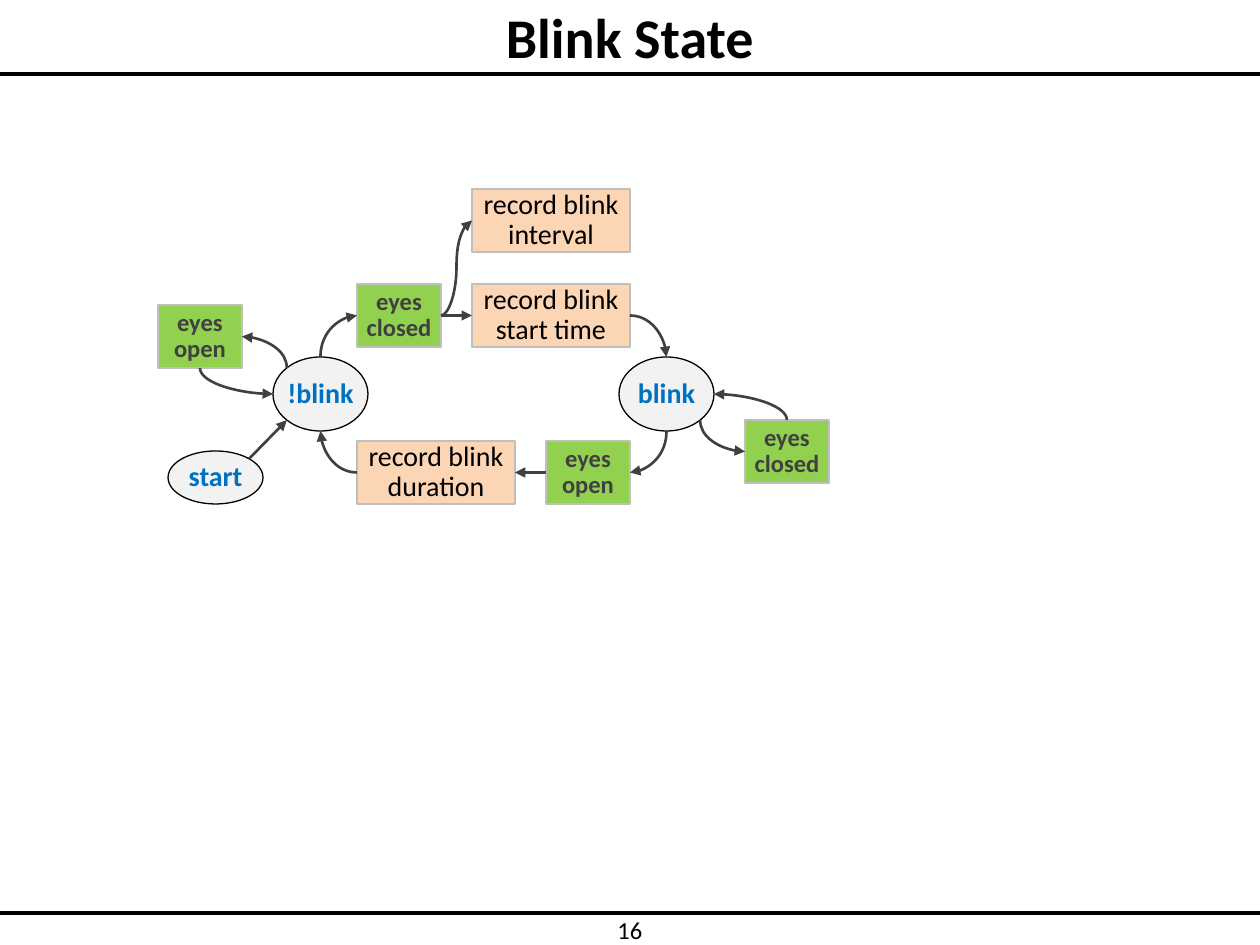
from dataclasses import dataclass

from lxml import etree
from pptx import Presentation
from pptx.dml.color import RGBColor
from pptx.enum.shapes import MSO_CONNECTOR, MSO_SHAPE
from pptx.enum.text import MSO_ANCHOR, PP_ALIGN
from pptx.oxml.ns import qn
from pptx.util import Pt

OVAL, RECTANGLE = MSO_SHAPE.OVAL, MSO_SHAPE.RECTANGLE
LINE, CURVE = MSO_CONNECTOR.STRAIGHT, MSO_CONNECTOR.CURVE
CENTER, MIDDLE, TOP = PP_ALIGN.CENTER, MSO_ANCHOR.MIDDLE, MSO_ANCHOR.TOP

EMU_PER_PX = 914400 / 126
SLIDE_WIDTH, SLIDE_HEIGHT = 1260, 945
FONT = "Calibri"
COLORS = {
    "black": "000000",
    "dark": "404040",
    "border": "BFBFBF",
    "state": "F2F2F2",
    "state_text": "0070C0",
    "event": "92D050",
    "action": "FCD5B5",
}
SIDES = {
    "top": (0.5, 0),
    "bottom": (0.5, 1),
    "left": (0, 0.5),
    "right": (1, 0.5),
    "top_left": (0.146, 0.146),
    "top_right": (0.854, 0.146),
    "bottom_left": (0.146, 0.854),
    "bottom_right": (0.854, 0.854),
}


@dataclass(frozen=True)
class Style:
    geometry: int
    fill: str
    border: str
    color: str
    size: int
    bold: bool


@dataclass(frozen=True)
class Node:
    text: str
    style: Style
    left: int
    top: int
    width: int
    height: int

    def point(self, side: str) -> tuple[float, float]:
        across, down = SIDES[side]
        return self.left + across * self.width, self.top + down * self.height


@dataclass(frozen=True)
class Arrow:
    source: str
    source_side: str
    target: str
    target_side: str
    route: str = "straight"


STATE = Style(OVAL, "state", "black", "state_text", 16, True)
EVENT = Style(RECTANGLE, "event", "border", "dark", 14, True)
ACTION = Style(RECTANGLE, "action", "border", "black", 16, False)


def event(text: str, left: int, top: int) -> Node:
    return Node(text, EVENT, left, top, 84, 63)


def action(text: str, left: int, top: int) -> Node:
    return Node(text, ACTION, left, top, 158, 63)


NODES = {
    "start": Node("start", STATE, 168, 451, 95, 53),
    "not_blink": Node("!blink", STATE, 273, 357, 95, 74),
    "blink": Node("blink", STATE, 619, 357, 95, 74),
    "stay_open": event("eyes\nopen", 158, 305),
    "close": event("eyes\nclosed", 357, 284),
    "stay_closed": event("eyes\nclosed", 745, 420),
    "open": event("eyes\nopen", 546, 441),
    "interval": action("record blink\ninterval", 472, 189),
    "start_time": action("record blink\nstart time", 472, 284),
    "duration": action("record blink\nduration", 357, 441),
}
ARROWS = [
    Arrow("start", "top_right", "not_blink", "bottom_left"),
    Arrow("not_blink", "top_left", "stay_open", "right", "vertical"),
    Arrow("stay_open", "bottom", "not_blink", "left", "vertical"),
    Arrow("not_blink", "top", "close", "left", "vertical"),
    Arrow("close", "right", "interval", "left", "s_curve"),
    Arrow("close", "right", "start_time", "left"),
    Arrow("start_time", "right", "blink", "top", "horizontal"),
    Arrow("blink", "bottom_right", "stay_closed", "left", "vertical"),
    Arrow("stay_closed", "top", "blink", "right", "vertical"),
    Arrow("blink", "bottom", "open", "right", "vertical"),
    Arrow("open", "left", "duration", "right"),
    Arrow("duration", "left", "not_blink", "bottom", "horizontal"),
]


def emu(*lengths: float) -> list[int]:
    return [round(length * EMU_PER_PX) for length in lengths]


def rgb(name: str) -> RGBColor:
    return RGBColor.from_string(COLORS[name])


def write_text(shape, text: str, *, size: int, color: str = "black", bold: bool = False,
               anchor=MIDDLE, wrap: bool = False, spacing: float = 1.0) -> None:
    frame = shape.text_frame
    frame.word_wrap = wrap
    frame.vertical_anchor = anchor
    frame.margin_left = frame.margin_right = frame.margin_top = frame.margin_bottom = 0
    frame.text = text
    for paragraph in frame.paragraphs:
        paragraph.alignment = CENTER
        paragraph.line_spacing = spacing
        font = paragraph.runs[0].font
        font.name, font.size, font.bold = FONT, Pt(size), bold
        font.color.rgb = rgb(color)


def draw_line(slide, begin: tuple, end: tuple, *, color: str, width: float, kind=LINE):
    connector = slide.shapes.add_connector(kind, *emu(*begin, *end))
    connector.line.color.rgb = rgb(color)
    connector.line.width = Pt(width)
    etree.SubElement(connector._element.spPr, qn("a:effectLst"))
    return connector


def draw_node(slide, node: Node) -> None:
    style = node.style
    shape = slide.shapes.add_shape(
        style.geometry, *emu(node.left, node.top, node.width, node.height))
    shape.shadow.inherit = False
    shape.fill.solid()
    shape.fill.fore_color.rgb = rgb(style.fill)
    shape.line.color.rgb = rgb(style.border)
    shape.line.width = Pt(0.75)
    write_text(shape, node.text, size=style.size, color=style.color,
               bold=style.bold, spacing=0.9)


def draw_arrow(slide, arrow: Arrow) -> None:
    begin = NODES[arrow.source].point(arrow.source_side)
    end = NODES[arrow.target].point(arrow.target_side)
    if arrow.route == "vertical":
        middle_x, middle_y = (begin[0] + end[0]) / 2, (begin[1] + end[1]) / 2
        half_x, half_y = (end[0] - begin[0]) / 2, (end[1] - begin[1]) / 2
        begin = middle_x - half_y, middle_y + half_x
        end = middle_x + half_y, middle_y - half_x
    kind = LINE if arrow.route == "straight" else CURVE
    connector = draw_line(slide, begin, end, color="dark", width=1.5, kind=kind)
    properties = connector._element.spPr
    if arrow.route in ("horizontal", "vertical"):
        properties.find(qn("a:prstGeom")).set("prst", "curvedConnector2")
    if arrow.route == "vertical":
        properties.find(qn("a:xfrm")).set("rot", "5400000")
    etree.SubElement(properties.find(qn("a:ln")), qn("a:tailEnd"), type="triangle")


def main() -> None:
    presentation = Presentation()
    presentation.slide_width, presentation.slide_height = emu(SLIDE_WIDTH, SLIDE_HEIGHT)
    slide = presentation.slides.add_slide(presentation.slide_layouts[5])

    title = slide.shapes.title
    title.left, title.top, title.width, title.height = emu(0, 0, SLIDE_WIDTH, 73)
    write_text(title, "Blink State", size=32, bold=True, wrap=True)
    for y, width in ((74, 2.25), (913, 2)):
        draw_line(slide, (0, y), (SLIDE_WIDTH, y), color="black", width=width)
    page_number = slide.shapes.add_textbox(*emu(585, 915, 90, 30))
    write_text(page_number, "16", size=14, anchor=TOP, wrap=True)

    for node in NODES.values():
        draw_node(slide, node)
    for arrow in ARROWS:
        draw_arrow(slide, arrow)

    presentation.save("out.pptx")


if __name__ == "__main__":
    main()
